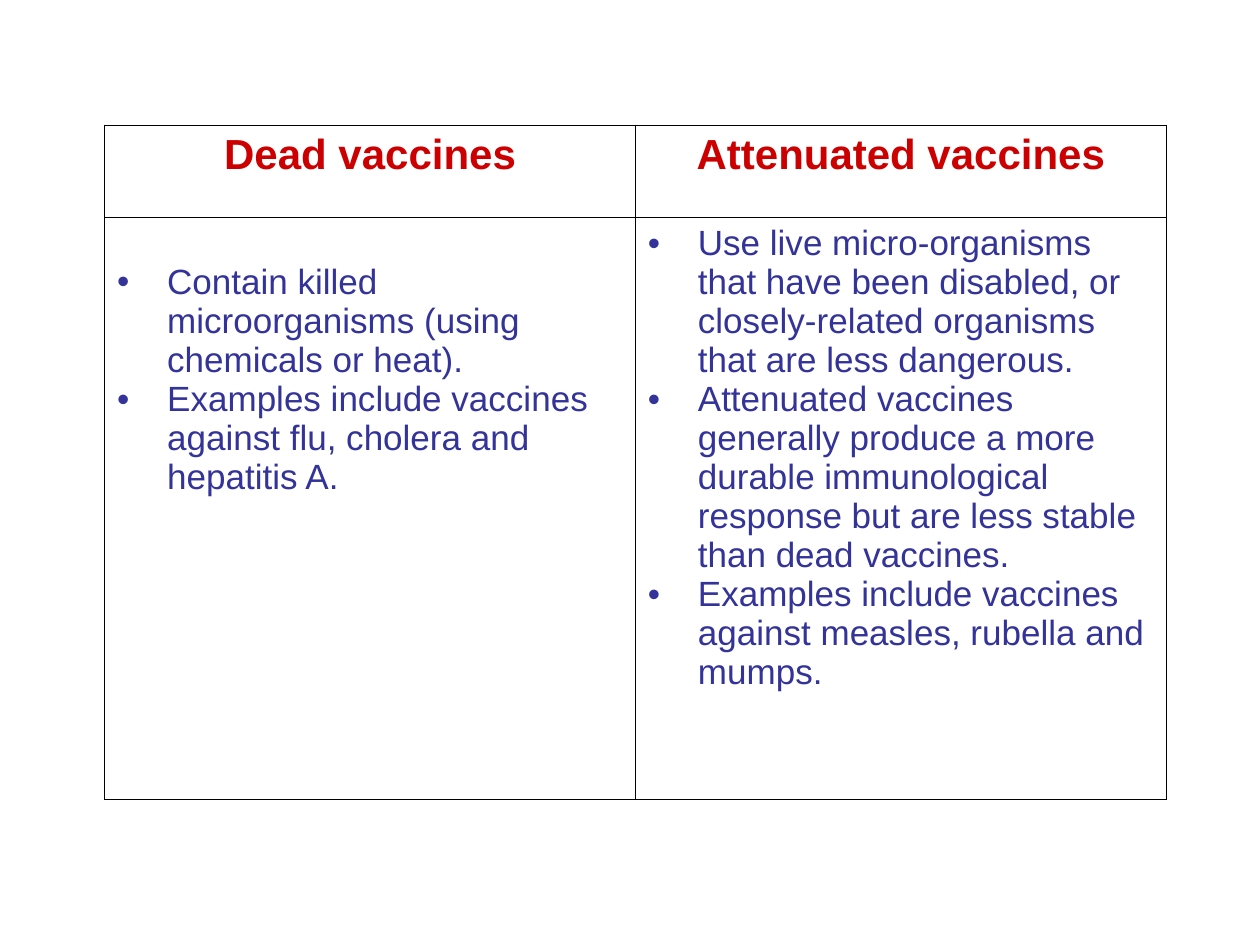
from dataclasses import dataclass

from lxml.etree import SubElement
from pptx import Presentation
from pptx.dml.color import RGBColor as Rgb
from pptx.enum.text import PP_ALIGN as Align
from pptx.oxml import parse_xml
from pptx.oxml.ns import nsdecls, qn
from pptx.util import Cm, Pt


@dataclass(frozen=True)
class Theme:
    font: str = "Arial"
    heading: str = "CC0000"
    body: str = "333399"
    border: str = "000000"
    heading_size: int = 24
    body_size: int = 20
    border_width: float = 0.45


@dataclass(frozen=True)
class VaccineType:
    heading: str
    points: tuple[str, ...]
    top_margin: float  # cm above the first point


THEME = Theme()
INDENT = Cm(1.01)

VACCINE_TYPES = (
    VaccineType("Dead vaccines", (
        "Contain killed microorganisms (using chemicals or heat).",
        "Examples include vaccines against flu, cholera and hepatitis A.",
    ), 0.91),
    VaccineType("Attenuated vaccines", (
        "Use live micro-organisms that have been disabled, or closely-related "
        "organisms that are less dangerous.",
        "Attenuated vaccines generally produce a more durable immunological "
        "response but are less stable than dead vaccines.",
        "Examples include vaccines against measles, rubella and mumps.",
    ), 0.13),
)


def add_text(paragraph, text: str, size: int, color: str, bold: bool) -> None:
    run = paragraph.add_run()
    run.text = text
    run.font.name = THEME.font
    run.font.size = Pt(size)
    run.font.bold = bold
    run.font.color.rgb = Rgb.from_string(color)


def add_bullet(paragraph) -> None:
    props = paragraph._p.get_or_add_pPr()
    props.set("marL", str(INDENT))
    props.set("indent", str(-INDENT))
    color = SubElement(props, qn("a:buClr"))
    SubElement(color, qn("a:srgbClr"), val=THEME.body)
    SubElement(props, qn("a:buFont"), typeface=THEME.font)
    SubElement(props, qn("a:buChar"), char="•")


def style_cell(cell, top_margin: float = 0.13) -> None:
    cell.margin_left = cell.margin_right = Cm(0.25)
    cell.margin_top, cell.margin_bottom = Cm(top_margin), Cm(0.13)
    cell.fill.background()
    props = cell._tc.get_or_add_tcPr()
    # Borders come before the fill
    for place, side in enumerate("LRTB"):
        props.insert(place, parse_xml(
            f'<a:ln{side} {nsdecls("a")} w="{Pt(THEME.border_width)}">'
            f'<a:solidFill><a:srgbClr val="{THEME.border}"/></a:solidFill>'
            f'</a:ln{side}>'))


def fill_column(table, column: int, vaccine: VaccineType) -> None:
    # Heading
    heading = table.cell(0, column)
    style_cell(heading)
    title = heading.text_frame.paragraphs[0]
    title.alignment = Align.CENTER
    add_text(title, vaccine.heading, THEME.heading_size, THEME.heading, True)

    # Bulleted points
    body = table.cell(1, column)
    style_cell(body, vaccine.top_margin)
    frame = body.text_frame
    for number, point in enumerate(vaccine.points):
        paragraph = frame.add_paragraph() if number else frame.paragraphs[0]
        add_bullet(paragraph)
        add_text(paragraph, point, THEME.body_size, THEME.body, False)


def main() -> None:
    deck = Presentation()
    deck.slide_width, deck.slide_height = Cm(25.4), Cm(19.05)
    slide = deck.slides.add_slide(deck.slide_layouts[6])

    # Comparison table
    table = slide.shapes.add_table(
        2, len(VACCINE_TYPES), Cm(2.11), Cm(2.52), Cm(21.4), Cm(13.6)).table
    table.first_row = table.horz_banding = False
    table.rows[0].height, table.rows[1].height = Cm(1.86), Cm(11.74)
    for column, vaccine in enumerate(VACCINE_TYPES):
        fill_column(table, column, vaccine)

    deck.save("out.pptx")


if __name__ == "__main__":
    main()
